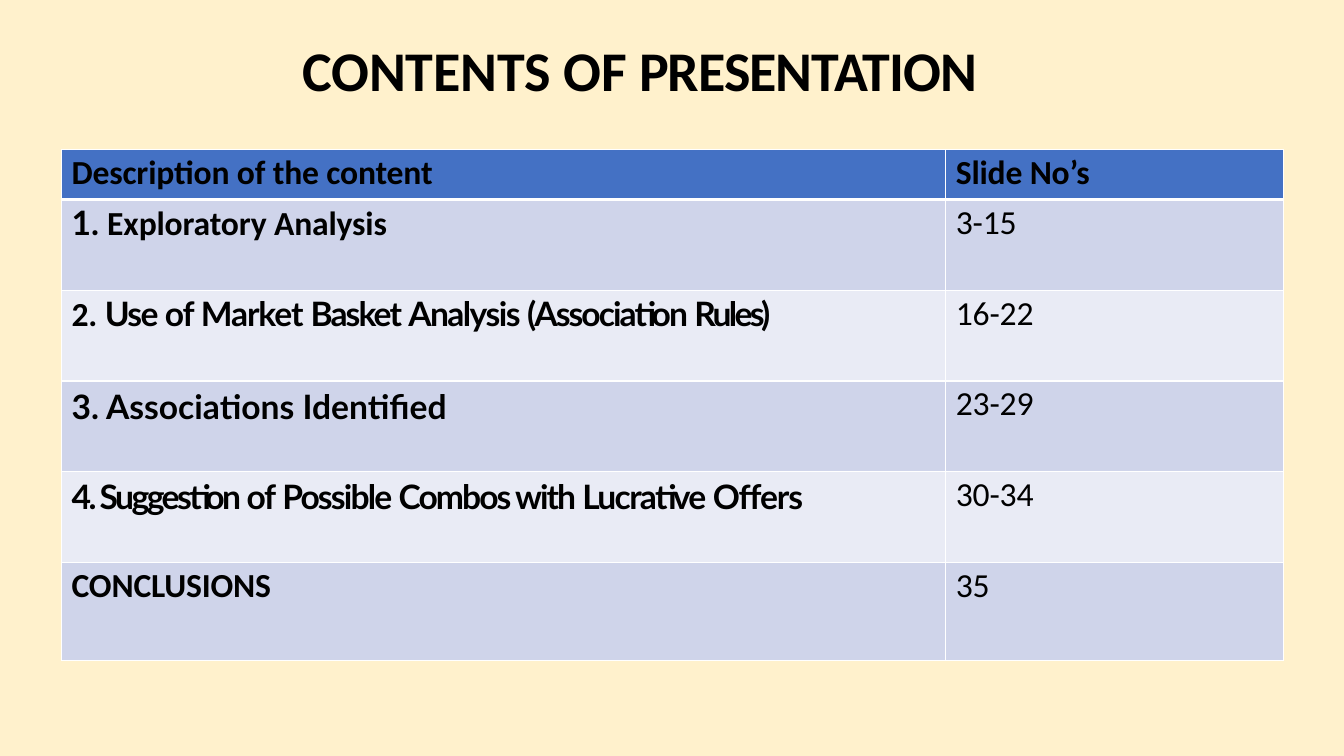
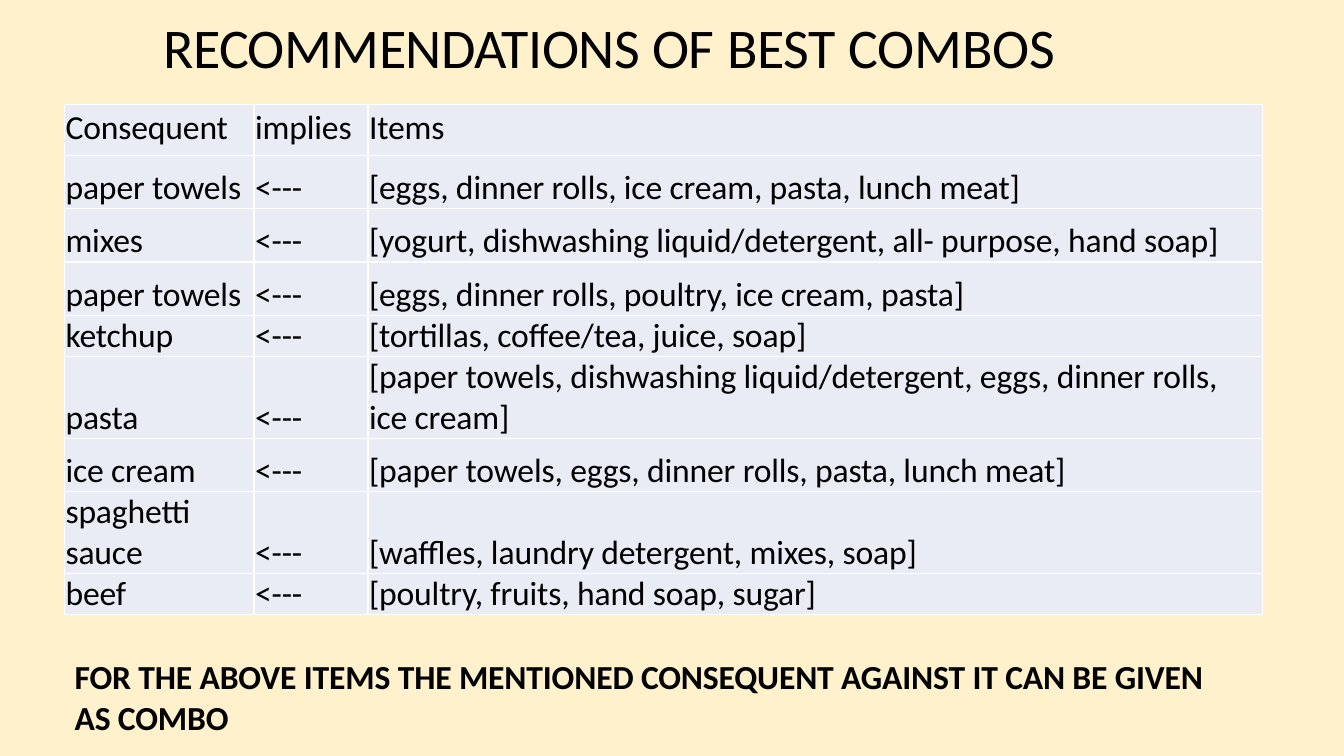
from dataclasses import dataclass

from lxml import etree
from pptx import Presentation
from pptx.dml.color import RGBColor
from pptx.enum import text
from pptx.oxml import ns
from pptx.util import Inches, Pt

CREAM = RGBColor(0xFF, 0xF1, 0xCC)
BLACK = RGBColor(0x00, 0x00, 0x00)
WHITE = RGBColor(0xFF, 0xFF, 0xFF)
HEADER_BLUE = RGBColor(0x44, 0x71, 0xC4)
BAND_DARK = RGBColor(0xCF, 0xD4, 0xEA)
BAND_LIGHT = RGBColor(0xE9, 0xEB, 0xF5)

BODY_FONT = "Calibri"
ACCENT_FONT = "Lato"
TITLE_SIZE = 40
BODY_SIZE = 24
THIN, THICK = 1, 3


@dataclass(frozen=True)
class Span:
    """A stretch of text with its letter spacing in points."""
    words: str
    spacing: float = -0.1
    font: str = BODY_FONT


@dataclass(frozen=True)
class Cell:
    lines: list[list[Span]]
    fill: RGBColor
    bold: bool = False
    left: float = 0.01
    top: float = 0
    anchor: text.MSO_ANCHOR = text.MSO_ANCHOR.TOP
    line_above: int = THIN
    line_below: int = THIN


def write_lines(frame, lines: list[list[Span]], size: int, bold: bool) -> None:
    for index, spans in enumerate(lines):
        paragraph = frame.add_paragraph() if index else frame.paragraphs[0]
        for span in spans:
            run = paragraph.add_run()
            run.text = span.words
            run.font.name = span.font
            run.font.size = Pt(size)
            run.font.bold = bold
            run.font.color.rgb = BLACK
            run._r.get_or_add_rPr().set("spc", str(round(span.spacing * 100)))


def set_margins(target, left: float, top: float) -> None:
    target.margin_left, target.margin_top = Inches(left), Inches(top)
    target.margin_right = target.margin_bottom = 0


def add_text(slide, left: float, top: float, width: float, height: float,
             lines: list[list[Span]], size: int, bold: bool) -> None:
    box = slide.shapes.add_textbox(Inches(left), Inches(top), Inches(width), Inches(height))
    frame = box.text_frame
    frame.word_wrap = True
    set_margins(frame, 0.01, 0.01)
    write_lines(frame, lines, size, bold)


def set_borders(table_cell, above: int, below: int) -> None:
    properties = table_cell._tc.get_or_add_tcPr()
    widths = {"a:lnL": THIN, "a:lnR": THIN, "a:lnT": above, "a:lnB": below}
    for position, (tag, width) in enumerate(widths.items()):
        line = etree.Element(ns.qn(tag), w=str(Pt(width)))
        fill = etree.SubElement(line, ns.qn("a:solidFill"))
        etree.SubElement(fill, ns.qn("a:srgbClr"), val=str(WHITE))
        properties.insert(position, line)


def add_table(slide, left: float, top: float, widths: list[float],
              heights: list[float], rows: list[list[Cell]]) -> None:
    table = slide.shapes.add_table(
        len(heights), len(widths), Inches(left), Inches(top),
        Inches(sum(widths)), Inches(sum(heights))).table
    table.first_row = table.horz_banding = False
    for column, width in zip(table.columns, widths):
        column.width = Inches(width)
    for table_row, height, cells in zip(table.rows, heights, rows):
        table_row.height = Inches(height)
        for table_cell, cell in zip(table_row.cells, cells):
            set_margins(table_cell, cell.left, cell.top)
            table_cell.vertical_anchor = cell.anchor
            table_cell.fill.solid()
            table_cell.fill.fore_color.rgb = cell.fill
            set_borders(table_cell, cell.line_above, cell.line_below)
            write_lines(table_cell.text_frame, cell.lines, BODY_SIZE, cell.bold)


def add_slide(presentation):
    slide = presentation.slides.add_slide(presentation.slide_layouts[6])
    slide.background.fill.solid()
    slide.background.fill.fore_color.rgb = CREAM
    return slide


def accent(*parts: tuple[str, float]) -> list[Span]:
    return [Span(words, spacing, ACCENT_FONT) for words, spacing in parts]


CONTENTS = [
    ([*accent(("1", -0.1), (". ", 0)), Span("Exploratory Analysis")], "3-15"),
    ([Span("2. "), *accent(
        ("Use ", -1.2), ("of ", -0.9), ("Market ", -0.8), ("Basket ", -1.4),
        ("Analysis ", -1.1), ("(Association ", -1.4), ("Rules)", -1.9))], "16-22"),
    (accent(("3. Associations Identified", 0)), "23-29"),
    (accent(("4. Suggestion ", -1.8), ("of ", -1), ("Possible ", -1.3),
            ("Combos with ", -1.4), ("Lucrative ", -1.2), ("Offers", -0.8)), "30-34"),
    ([Span("CONCLUSIONS")], "35"),
]

COMBOS = [
    ("paper towels", "[eggs, dinner rolls, ice cream, pasta, lunch meat]"),
    ("mixes", "[yogurt, dishwashing liquid/detergent, all- purpose, hand soap]"),
    ("paper towels", "[eggs, dinner rolls, poultry, ice cream, pasta]"),
    ("ketchup", "[tortillas, coffee/tea, juice, soap]"),
    ("pasta", "[paper towels, dishwashing liquid/detergent, eggs, dinner rolls,\nice cream]"),
    ("ice cream", "[paper towels, eggs, dinner rolls, pasta, lunch meat]"),
    ("spaghetti\nsauce", "[waffles, laundry detergent, mixes, soap]"),
    ("beef", "[poultry, fruits, hand soap, sugar]"),
]


def build_contents(presentation) -> None:
    slide = add_slide(presentation)
    title = [Span("CONTENTS OF "), Span("PRESENTATION", -0.7)]
    add_text(slide, 2.99, 0.34, 6.84, 0.69, [title], TITLE_SIZE, True)
    rows = [[Cell([[Span(heading)]], HEADER_BLUE, True, 0.1, 0.03, line_below=THICK)
             for heading in ("Description of the content", "Slide No’s")]]
    for index, (topic, pages) in enumerate(CONTENTS):
        fill = BAND_LIGHT if index % 2 else BAND_DARK
        above = THIN if index else THICK
        top = 0.05 if index in (2, 3) else 0.03
        rows.append([
            Cell([topic], fill, True, 0.1, top, line_above=above),
            Cell([[Span(pages)]], fill, False, 0.1, 0.03, line_above=above),
        ])
    add_table(slide, 0.61, 1.48, [8.77, 3.35], [0.5] + [0.9] * 4 + [0.97], rows)


def build_combos(presentation) -> None:
    slide = add_slide(presentation)
    title = [Span("RECOMMENDATIONS ", -0.4), Span("OF "), Span("BEST ", -0.2), Span("COMBOS")]
    add_text(slide, 1.61, 0.11, 8.99, 0.69, [title], TITLE_SIZE, False)
    rows = [[Cell([[Span(heading)]], BAND_LIGHT, top=0.03)
             for heading in ("Consequent", "implies", "Items")]]
    for consequent, items in COMBOS:
        rows.append([
            Cell([[Span(line)] for line in words.split("\n")], BAND_LIGHT,
                 anchor=text.MSO_ANCHOR.BOTTOM)
            for words in (consequent, "<---", items)])
    heights = [0.5, 0.53, 0.53, 0.53, 0.41, 0.81, 0.53, 0.81, 0.41]
    add_table(slide, 0.64, 1.04, [1.88, 1.13, 8.87], heights, rows)
    note = [
        [Span("FOR THE ABOVE ITEMS THE MENTIONED CONSEQUENT AGAINST IT CAN BE GIVEN")],
        [Span("AS COMBO")],
    ]
    add_text(slide, 0.73, 6.5, 11.31, 0.83, note, BODY_SIZE, True)


def main() -> None:
    presentation = Presentation()
    presentation.slide_width = Inches(13.33)
    presentation.slide_height = Inches(7.5)
    build_contents(presentation)
    build_combos(presentation)
    presentation.save("out.pptx")


if __name__ == "__main__":
    main()
